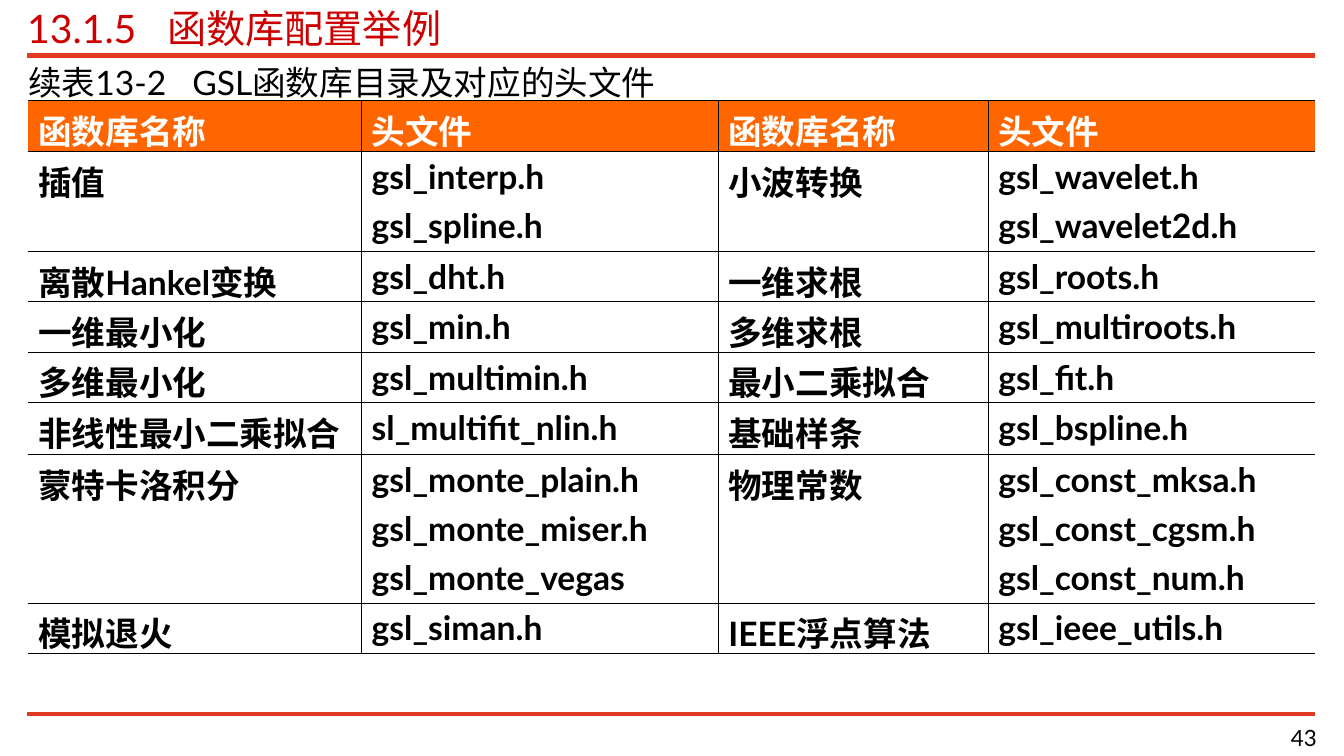
from lxml.etree import SubElement
from pptx import Presentation
from pptx.dml.color import RGBColor
from pptx.enum.shapes import MSO_CONNECTOR
from pptx.enum.text import MSO_ANCHOR, PP_ALIGN
from pptx.oxml.ns import qn
from pptx.util import Inches, Pt

TITLE = "13.1.5\t函数库配置举例"
CAPTION = "续表13-2\tGSL函数库目录及对应的头文件"
PAGE_NUMBER = "43"
HEADER = ("函数库名称", "头文件", "函数库名称", "头文件")
LIBRARIES = [
    ("插值", "gsl_interp.h\ngsl_spline.h", "小波转换", "gsl_wavelet.h\ngsl_wavelet2d.h"),
    ("离散Hankel变换", "gsl_dht.h", "一维求根", "gsl_roots.h"),
    ("一维最小化", "gsl_min.h", "多维求根", "gsl_multiroots.h"),
    ("多维最小化", "gsl_multimin.h", "最小二乘拟合", "gsl_fit.h"),
    ("非线性最小二乘拟合", "sl_multifit_nlin.h", "基础样条", "gsl_bspline.h"),
    ("蒙特卡洛积分", "gsl_monte_plain.h\ngsl_monte_miser.h\ngsl_monte_vegas",
     "物理常数", "gsl_const_mksa.h\ngsl_const_cgsm.h\ngsl_const_num.h"),
    ("模拟退火", "gsl_siman.h", "IEEE浮点算法", "gsl_ieee_utils.h"),
]
COLUMN_WIDTHS = (3.31, 3.54, 2.68, 3.24)
ROW_HEIGHTS = (0.5, 0.99, 0.5, 0.5, 0.5, 0.52, 1.47, 0.5)
RULES = ((0.55, 4), (7.08, 3))

FONT = "Lato"
RED = RGBColor(0xCC, 0x00, 0x00)
RULE_RED = RGBColor(0xE1, 0x3A, 0x23)
ORANGE = RGBColor(0xFF, 0x66, 0x00)
BLACK = RGBColor(0x00, 0x00, 0x00)
WHITE = RGBColor(0xFF, 0xFF, 0xFF)
OUTER_LINE, INNER_LINE = 0.62, 0.45


def add_run(paragraph, text, size, color, bold=False):
    run = paragraph.add_run()
    run.text = text
    run.font.name = FONT
    run.font.size = Pt(size)
    run.font.bold = bold
    run.font.color.rgb = color


def add_text(slide, box, text, size, color, tab=None, align=PP_ALIGN.LEFT):
    frame = slide.shapes.add_textbox(*map(Inches, box)).text_frame
    frame.word_wrap = True
    frame.vertical_anchor = MSO_ANCHOR.MIDDLE
    frame.margin_left = frame.margin_right = 0
    frame.margin_top = frame.margin_bottom = 0
    paragraph = frame.paragraphs[0]
    paragraph.alignment = align
    if tab:
        tabs = SubElement(paragraph._p.get_or_add_pPr(), qn("a:tabLst"))
        SubElement(tabs, qn("a:tab"), pos=str(Inches(tab)), algn="l")
    add_run(paragraph, text, size, color)


def add_rule(slide, top, weight):
    rule = slide.shapes.add_connector(
        MSO_CONNECTOR.STRAIGHT, Inches(0.27), Inches(top), Inches(13.05), Inches(top))
    rule.line.color.rgb = RULE_RED
    rule.line.width = Pt(weight)
    SubElement(rule._element.spPr, qn("a:effectLst"))


def set_borders(cell, widths):
    properties = cell._tc.get_or_add_tcPr()
    for side, width in zip("LRTB", widths):
        line = SubElement(properties, qn(f"a:ln{side}"), w=str(Pt(width)))
        if width:
            fill = SubElement(line, qn("a:solidFill"))
            SubElement(fill, qn("a:srgbClr"), val=str(BLACK))
        else:
            SubElement(line, qn("a:noFill"))


def fill_cell(cell, text, is_header):
    if is_header:
        cell.fill.solid()
        cell.fill.fore_color.rgb = ORANGE
    else:
        cell.fill.background()
    frame = cell.text_frame
    for index, name in enumerate(text.split("\n")):
        paragraph = frame.add_paragraph() if index else frame.paragraphs[0]
        paragraph.space_before = Pt(6)
        add_run(paragraph, name, 24, WHITE if is_header else BLACK, bold=True)


def add_library_table(slide):
    rows = [HEADER, *LIBRARIES]
    last_row, last_column = len(rows) - 1, len(HEADER) - 1
    table = slide.shapes.add_table(
        len(rows), len(HEADER), Inches(0.28), Inches(1),
        Inches(sum(COLUMN_WIDTHS)), Inches(sum(ROW_HEIGHTS))).table
    table.first_row = table.horz_banding = False
    for column, width in zip(table.columns, COLUMN_WIDTHS):
        column.width = Inches(width)
    for row, height in zip(table.rows, ROW_HEIGHTS):
        row.height = Inches(height)
    for r, texts in enumerate(rows):
        for c, text in enumerate(texts):
            cell = table.cell(r, c)
            set_borders(cell, (
                INNER_LINE if c > 0 else 0,
                INNER_LINE if c < last_column else 0,
                OUTER_LINE if r <= 1 else INNER_LINE,
                OUTER_LINE if r in (0, last_row) else INNER_LINE))
            fill_cell(cell, text, is_header=r == 0)


def main():
    presentation = Presentation()
    presentation.slide_width = Inches(13.34)
    presentation.slide_height = Inches(7.5)
    slide = presentation.slides.add_slide(presentation.slide_layouts[6])
    for top, weight in RULES:
        add_rule(slide, top, weight)
    add_text(slide, (0.27, 0.04, 12.78, 0.47), TITLE, 28, RED, tab=1.39)
    add_text(slide, (0.28, 0.61, 12.78, 0.4), CAPTION, 24, BLACK, tab=1.63)
    add_library_table(slide)
    add_text(slide, (10.39, 7.16, 2.68, 0.31), PAGE_NUMBER, 16, BLACK, align=PP_ALIGN.RIGHT)
    presentation.save("out.pptx")


if __name__ == "__main__":
    main()
